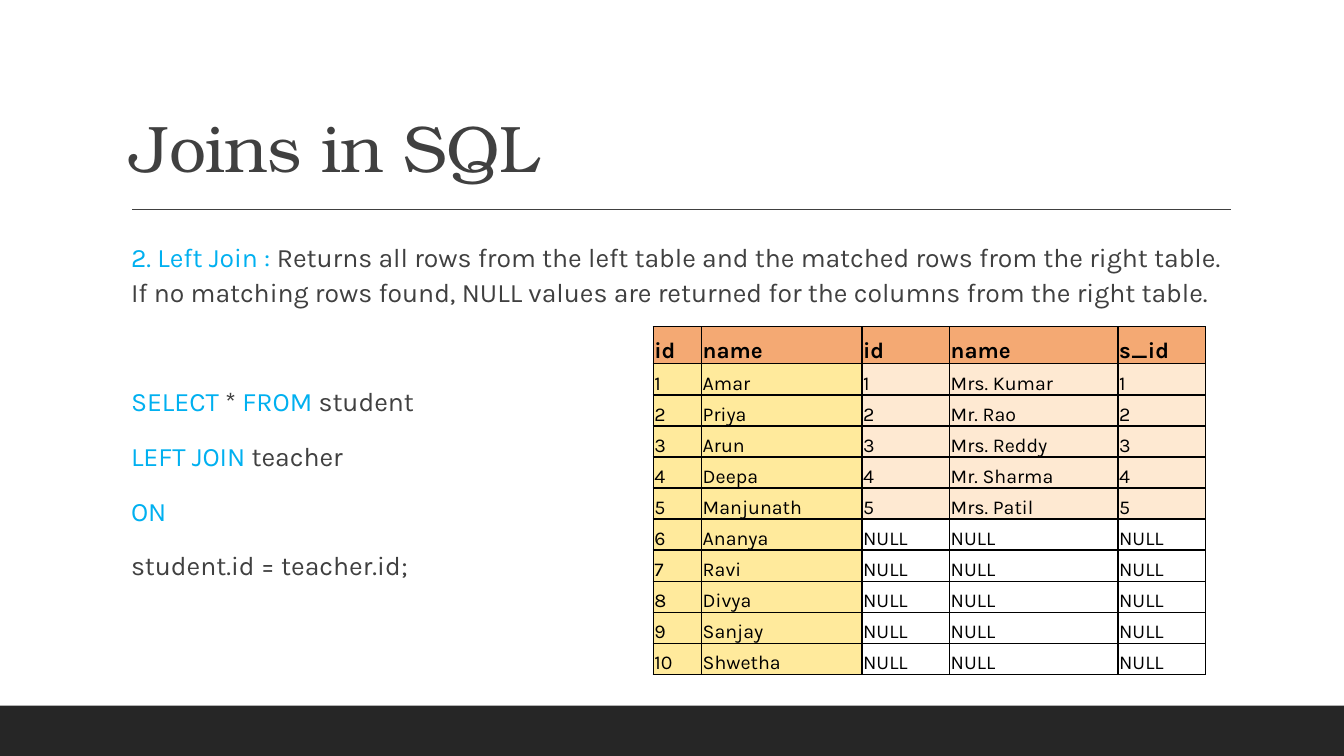
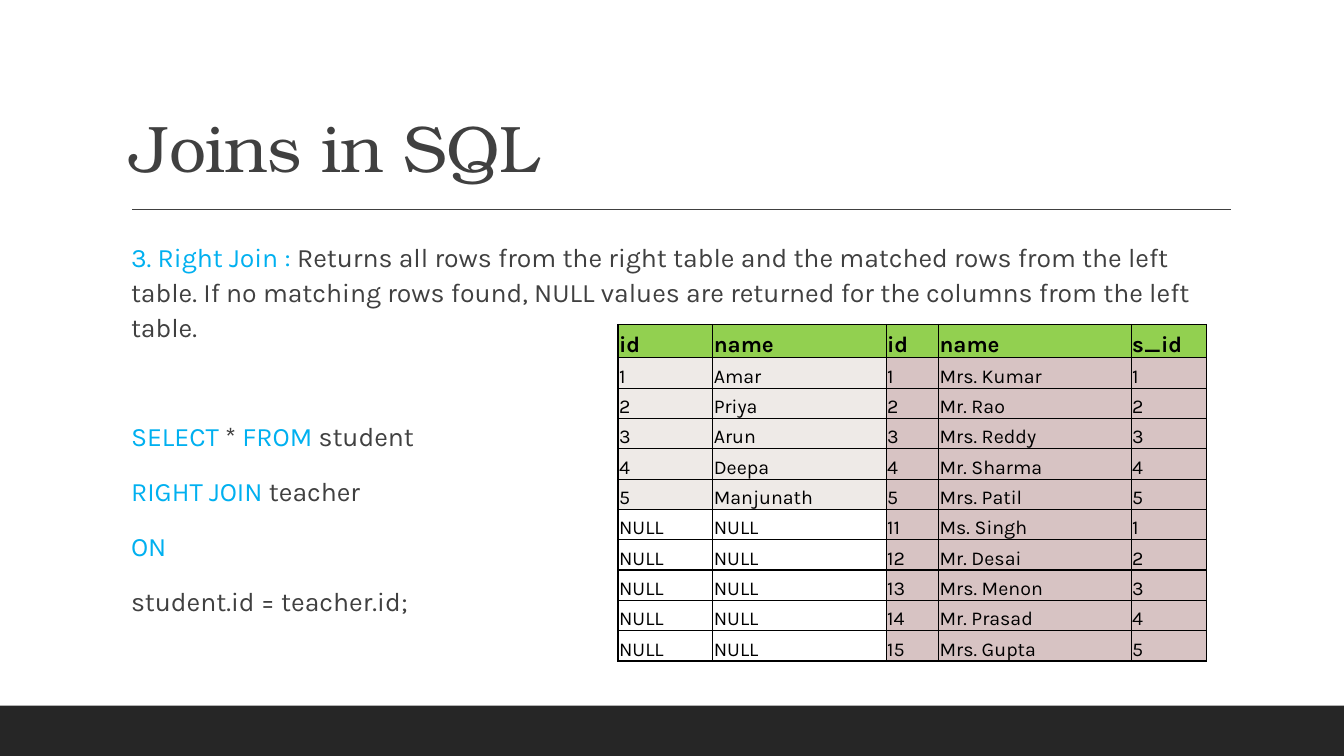
"""Build two slides that explain the left and right joins of SQL."""
from lxml.etree import SubElement
from pptx import Presentation
from pptx.dml.color import RGBColor
from pptx.enum.shapes import MSO_CONNECTOR, MSO_SHAPE
from pptx.enum.text import MSO_ANCHOR
from pptx.oxml import parse_xml
from pptx.oxml.ns import nsdecls, qn
from pptx.util import Inches, Pt

INK, BLUE, BAND, BLACK = "404040", "00B0F0", "262626", "000000"
HEAD, BODY = "TeX Gyre Bonum", "Karla"
PARA = {"line_spacing": 1.1, "space_before": Pt(12), "space_after": Pt(2)}
GAP = {**PARA, "space_before": Pt(51)}
EDGE = (
    '<a:{0} {1} w="12700"><a:solidFill><a:srgbClr val="{2}"/>'
    "</a:solidFill></a:{0}>"
)

PUPILS = ["Amar", "Priya", "Arun", "Deepa", "Manjunath",
          "Ananya", "Ravi", "Divya", "Sanjay", "Shwetha"]
STAFF = ["Mrs. Kumar", "Mr. Rao", "Mrs. Reddy", "Mr. Sharma", "Mrs. Patil",
         "Ms. Singh", "Mr. Desai", "Mrs. Menon", "Mr. Prasad", "Mrs. Gupta"]
FIELDS = ["id", "name", "id", "name", "s_id"]
NULL = "NULL"
MATCH = 5

left = [[str(n), name] for n, name in enumerate(PUPILS, 1)]
right = [
    [str(n if n <= MATCH else n + 5), name, str((n - 1) % MATCH + 1)]
    for n, name in enumerate(STAFF, 1)
]
both = [a + b for a, b in zip(left[:MATCH], right)]

JOINS = [
    {
        "intro": [
            ("2. Left Join : ", BLUE),
            ("Returns all rows from the left table and the matched rows from "
             "the right table. If no matching rows found, NULL values are "
             "returned for the columns from the right table.", INK),
        ],
        "verb": "LEFT JOIN",
        "rows": both + [a + [NULL] * 3 for a in left[MATCH:]],
        "at": (6.48, 3.24),
        "cols": [0.48, 1.59, 0.87, 1.67, 0.87],
        "tall": (0.37, 3.45),
        "tints": ("F4A973", "FFEA9C", "FEE9D2"),
    },
    {
        "intro": [
            ("3. Right Join : ", BLUE),
            ("Returns all rows from the right table and the matched rows from "
             "the left table. If no matching rows found, NULL values are "
             "returned for the columns from the left table.", INK),
        ],
        "verb": "RIGHT JOIN",
        "rows": both + [[NULL] * 2 + b for b in right[MATCH:]],
        "at": (6.13, 3.22),
        "cols": [0.94, 1.72, 0.52, 1.91, 0.75],
        "tall": (0.33, 3.34),
        "tints": ("92D050", "EEEAE7", "D7C3C3"),
    },
]


def color(code):
    return RGBColor.from_string(code)


def apply(target, style):
    for key, value in style.items():
        setattr(target, key, value)


class Deck:
    def __init__(self):
        self.file = Presentation()
        self.file.slide_width = Inches(13.33)
        self.file.slide_height = Inches(7.5)
        self.slide = None

    def page(self, title):
        self.slide = self.file.slides.add_slide(self.file.slide_layouts[6])
        self.band(0, 7, 13.33, 0.5)
        self.rule(1.31, 12.21, 2.08)
        frame = self.frame(1.2, 0.31, 11, 1.59, {"vertical_anchor": MSO_ANCHOR.BOTTOM})
        para = frame.paragraphs[0]
        para.line_spacing = 0.9
        run = self.run(para, title, INK, {"size": Pt(47), "name": HEAD})
        run._r.get_or_add_rPr().set("spc", "-50")

    def band(self, x, y, w, h):
        shape = self.slide.shapes.add_shape(
            MSO_SHAPE.RECTANGLE, Inches(x), Inches(y), Inches(w), Inches(h))
        shape.shadow.inherit = False
        shape.fill.solid()
        shape.fill.fore_color.rgb = color(BAND)
        shape.line.fill.background()

    def rule(self, start, end, y):
        line = self.slide.shapes.add_connector(
            MSO_CONNECTOR.STRAIGHT, Inches(start), Inches(y), Inches(end), Inches(y))
        line.line.color.rgb = color(INK)
        line.line.width = Pt(1)
        SubElement(line._element.spPr, qn("a:effectLst"))

    def frame(self, x, y, w, h, style):
        box = self.slide.shapes.add_textbox(Inches(x), Inches(y), Inches(w), Inches(h))
        apply(box.text_frame, {"word_wrap": True, **style})
        return box.text_frame

    def run(self, para, text, ink, style):
        run = para.add_run()
        run.text = text
        run.font.color.rgb = color(ink)
        apply(run.font, style)
        return run

    def text(self, x, y, w, h, lines):
        frame = self.frame(x, y, w, h, {"margin_left": 0, "margin_right": 0})
        for n, (style, parts) in enumerate(lines):
            para = frame.add_paragraph() if n else frame.paragraphs[0]
            apply(para, style)
            for words, ink in parts:
                self.run(para, words, ink, {"size": Pt(19), "name": BODY})

    def table(self, rows, at, cols, tall, tints):
        top, full = tall
        head, first, second = tints
        grid = self.slide.shapes.add_table(
            len(rows) + 1, len(cols), Inches(at[0]), Inches(at[1]),
            Inches(sum(cols)), Inches(full)).table
        apply(grid, {"first_row": False, "horz_banding": False})
        for col, width in zip(grid.columns, cols):
            col.width = Inches(width)
        for r, values in enumerate([FIELDS] + rows):
            grid.rows[r].height = Inches((full - top) / len(rows) if r else top)
            font = {"size": Pt(14 if r else 16), "name": BODY, "bold": r == 0}
            for c, value in enumerate(values):
                tint = (first if c < 2 else second) if r else head
                self.cell(grid.cell(r, c), value, font, None if value == NULL else tint)

    def cell(self, cell, value, font, tint):
        pad = Inches(0.01)
        apply(cell, {"margin_left": pad, "margin_right": pad, "margin_top": pad,
                     "margin_bottom": 0, "vertical_anchor": MSO_ANCHOR.BOTTOM})
        props = cell._tc.get_or_add_tcPr()
        for side in ("lnL", "lnR", "lnT", "lnB"):
            props.append(parse_xml(EDGE.format(side, nsdecls("a"), BLACK)))
        if tint:
            cell.fill.solid()
            cell.fill.fore_color.rgb = color(tint)
        else:
            cell.fill.background()
        self.run(cell.text_frame.paragraphs[0], value, BLACK, font)


def main():
    deck = Deck()
    for join in JOINS:
        deck.page("Joins in SQL")
        deck.text(1.3, 2.31, 10.9, 4.3, [
            (PARA, join["intro"]),
            (GAP, [("SELECT", BLUE), (" * ", INK), ("FROM", BLUE), (" student", INK)]),
            (PARA, [(join["verb"], BLUE), (" teacher", INK)]),
            (PARA, [("ON", BLUE)]),
            (PARA, [("student.id = teacher.id;", INK)]),
        ])
        deck.table(join["rows"], join["at"], join["cols"], join["tall"], join["tints"])
    deck.file.save("out.pptx")


if __name__ == "__main__":
    main()
